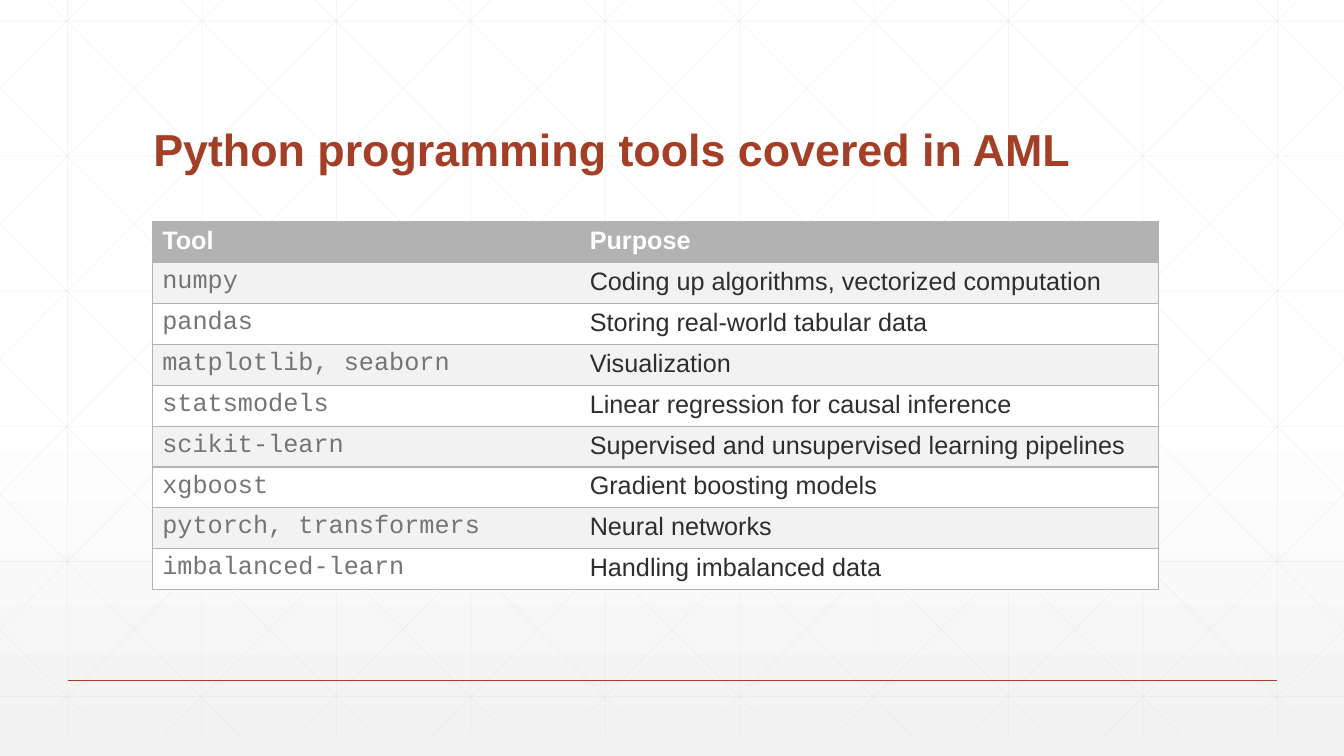
from copy import deepcopy
from dataclasses import dataclass

from lxml.etree import SubElement
from pptx import Presentation
from pptx.dml.color import RGBColor as RGB
from pptx.enum.shapes import MSO_CONNECTOR as Connector
from pptx.enum.text import MSO_ANCHOR as Anchor, PP_ALIGN as Align
from pptx.oxml.ns import qn
from pptx.util import Inches, Pt


@dataclass(frozen=True)
class Theme:
    accent: str = "A43F27"
    lattice: str = "D9D9D9"
    header: str = "B2B2B2"
    band: str = "F2F2F2"
    white: str = "FFFFFF"
    code: str = "757575"
    ink: str = "2D2E2D"
    sans: str = "Arial"
    mono: str = "Courier New"
    title_size: int = 32
    table_size: int = 18


THEME = Theme()
WIDTH, HEIGHT = 13.33, 7.5
TOOLS = [
    ("Tool", "Purpose"),
    ("numpy", "Coding up algorithms, vectorized computation"),
    ("pandas", "Storing real-world tabular data"),
    ("matplotlib, seaborn", "Visualization"),
    ("statsmodels", "Linear regression for causal inference"),
    ("scikit-learn", "Supervised and unsupervised learning pipelines"),
    ("xgboost", "Gradient boosting models"),
    ("pytorch, transformers", "Neural networks"),
    ("imbalanced-learn", "Handling imbalanced data"),
]


def set_font(font, size, name, color, bold=False):
    font.size, font.name, font.bold = Pt(size), name, bold
    font.color.rgb = RGB.from_string(color)


def paint_background(slide):
    fill = slide.background.fill
    fill.gradient()
    fill.gradient_angle = 270
    stops = slide.element.find(".//" + qn("a:gsLst"))
    stops.insert(0, deepcopy(stops[0]))
    shades = [(0, THEME.white), (0.53, THEME.white), (1, THEME.band)]
    for stop, (position, color) in zip(fill.gradient_stops, shades):
        stop.position = position
        stop.color.rgb = RGB.from_string(color)


def add_rule(shapes, start, end, color, weight, opacity=100):
    rule = shapes.add_connector(Connector.STRAIGHT, *map(Inches, start + end))
    rule.line.color.rgb = RGB.from_string(color)
    rule.line.width = Pt(weight)
    properties = rule.element.spPr
    if opacity < 100:
        tint = properties.find(".//" + qn("a:srgbClr"))
        SubElement(tint, qn("a:alpha"), val=str(opacity * 1000))
    SubElement(properties, qn("a:effectLst"))


def add_lattice(slide, left, top, width, height):
    right, bottom = left + width, top + height
    step, run = 4 / 3, 7.455
    slope = height / run
    segments = []
    for column in range(10):
        x = left + 0.67 + column * step
        segments.append(((x, top), (x, bottom)))
    for row in range(6):
        y = top + 0.42 + row * 1.34
        segments.append(((left, y), (right, y)))
    for diagonal in range(-5, 10):
        x = left + 0.25 + diagonal * step
        x1, x2 = max(x, left), min(x + run, right)
        y1, y2 = (top + (end - x) * slope for end in (x1, x2))
        segments.append(((x1, y1), (x2, y2)))
        segments.append(((left + right - x1, y1), (left + right - x2, y2)))
    lattice = slide.shapes.add_group_shape()
    for start, end in segments:
        add_rule(lattice.shapes, start, end, THEME.lattice, 0.5, 25)


def place_title(slide, left, top, width, height):
    title = slide.shapes.title
    title.left, title.top = Inches(left), Inches(top)
    title.width, title.height = Inches(width), Inches(height)
    frame = title.text_frame
    frame.text = "Python programming tools covered in AML"
    frame.word_wrap = True
    frame.vertical_anchor = Anchor.BOTTOM
    heading = frame.paragraphs[0]
    heading.alignment, heading.line_spacing = Align.LEFT, 0.9
    set_font(heading.font, THEME.title_size, THEME.sans, THEME.accent, True)
    slide.shapes.element.append(title.element)


def set_borders(cell, outer_side):
    properties = cell._tc.get_or_add_tcPr()
    for index, side in enumerate("LRTB"):
        border = SubElement(properties, qn("a:ln" + side), w=str(Pt(1)))
        properties.insert(index, border)
        if side in outer_side + "TB":
            fill = SubElement(border, qn("a:solidFill"))
            SubElement(fill, qn("a:srgbClr"), val=THEME.header)
        else:
            SubElement(border, qn("a:noFill"))


def add_tools_table(slide, left, top, width, height):
    box = map(Inches, (left, top, width, height))
    table = slide.shapes.add_table(len(TOOLS), 2, *box).table
    tool_width = 4.24
    table.columns[0].width = Inches(tool_width)
    table.columns[1].width = Inches(width - tool_width)
    for r, entry in enumerate(TOOLS):
        fill = THEME.header if r == 0 else THEME.band if r % 2 else THEME.white
        for c, wording in enumerate(entry):
            cell = table.cell(r, c)
            cell.text = wording
            cell.fill.solid()
            cell.fill.fore_color.rgb = RGB.from_string(fill)
            set_borders(cell, "LR"[c])
            if r == 0:
                name, color = THEME.sans, THEME.white
            elif c == 0:
                name, color = THEME.mono, THEME.code
            else:
                name, color = THEME.sans, THEME.ink
            font = cell.text_frame.paragraphs[0].font
            set_font(font, THEME.table_size, name, color, r == 0)


def build_tools_slide(deck):
    slide = deck.slides.add_slide(deck.slide_layouts[5])
    paint_background(slide)
    add_lattice(slide, 0, -0.21, WIDTH, HEIGHT)
    add_rule(slide.shapes, (0.67, 6.75), (12.67, 6.75), THEME.accent, 1)
    place_title(slide, 1.42, 0.55, 10.5, 1.25)
    add_tools_table(slide, 1.51, 2.2, 9.98, 3.65)


def main():
    deck = Presentation()
    deck.slide_width, deck.slide_height = Inches(WIDTH), Inches(HEIGHT)
    build_tools_slide(deck)
    deck.save("out.pptx")


if __name__ == "__main__":
    main()
